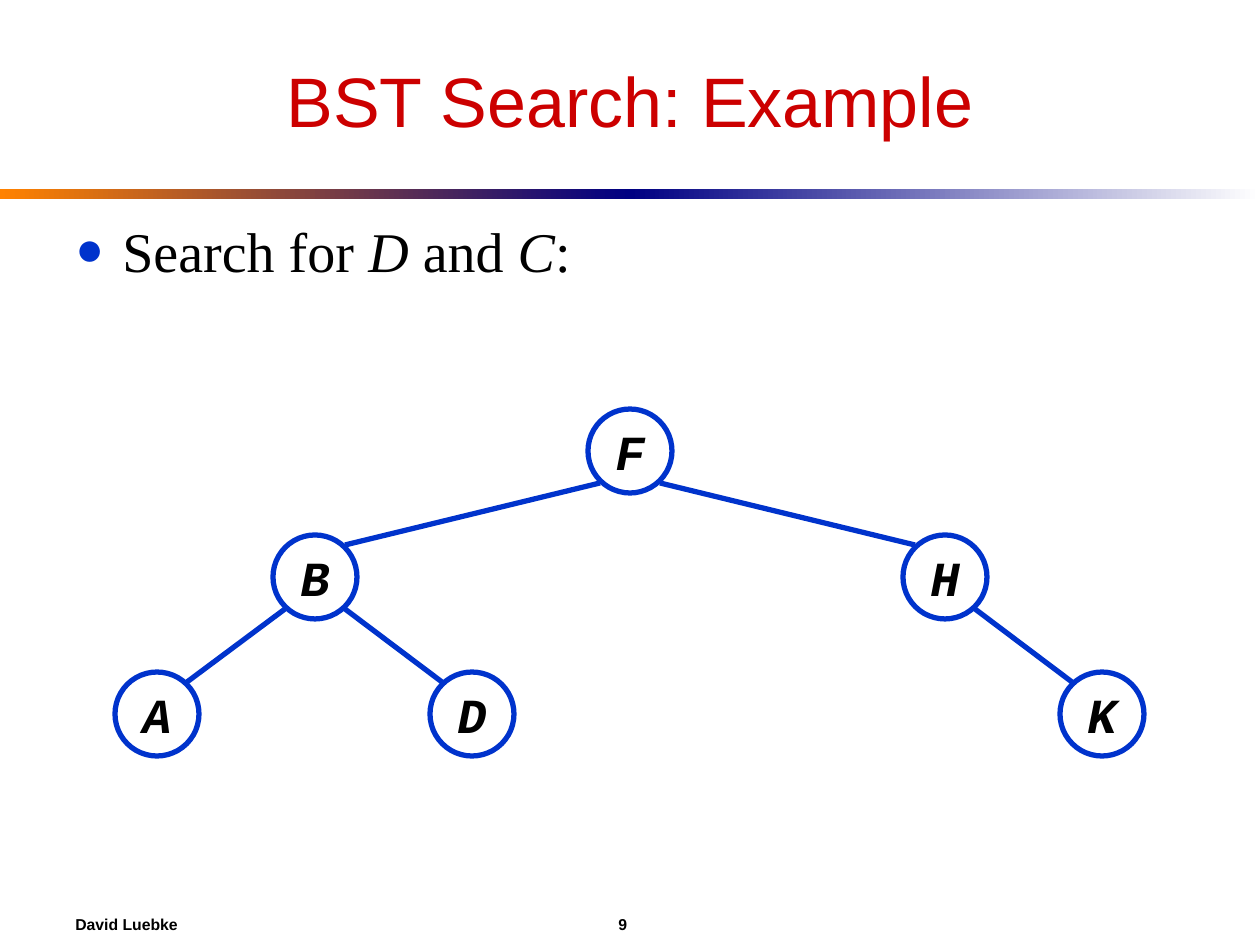
from dataclasses import dataclass

from lxml.etree import SubElement
from pptx import Presentation
from pptx.dml.color import RGBColor
from pptx.enum.shapes import MSO_CONNECTOR, MSO_SHAPE
from pptx.enum.text import MSO_ANCHOR, PP_ALIGN
from pptx.oxml.ns import qn
from pptx.util import Emu, Pt


@dataclass(frozen=True)
class Theme:
    """Colours, fonts and type sizes of the slide."""
    ink: str = "000000"
    paper: str = "FFFFFF"
    heading: str = "CC0000"
    accent: str = "0033CC"
    orange: str = "FF8200"
    navy: str = "000082"
    sans: str = "Arial"
    serif: str = "Times New Roman"
    mono: str = "Courier New"
    title_size: int = 40
    body_size: int = 32
    node_size: int = 28
    footer_size: int = 9
    line_width: int = 3


THEME = Theme()
NODE_SIZE = 84
EDGE_X, EDGE_Y = 30, 32
NODES = {
    "F": (630, 451), "B": (315, 577), "H": (945, 577),
    "K": (1102, 714), "D": (472, 714), "A": (157, 714),
}
EDGES = ["BA", "BD", "FB", "FH", "HK"]


def px(length):
    """Turn pixels into EMU."""
    return Emu(round(length * 914400 / 126))


def rgb(value):
    """Turn a hex string into a colour."""
    return RGBColor.from_string(value)


def place(shape, left, top, width, height):
    """Move and size a shape."""
    shape.left, shape.top = px(left), px(top)
    shape.width, shape.height = px(width), px(height)


def style(span, font, size, color, bold=False, italic=False):
    """Format one run."""
    span.font.name, span.font.size = font, Pt(size)
    span.font.bold, span.font.italic = bold, italic
    span.font.color.rgb = rgb(color)


def add_title(page, text):
    """Fill and format the title placeholder."""
    title = page.shapes.title
    place(title, 63, 32, 1134, 136)
    title.text_frame.text = text
    title.text_frame.vertical_anchor = MSO_ANCHOR.MIDDLE
    para = title.text_frame.paragraphs[0]
    para.alignment = PP_ALIGN.CENTER
    style(para.runs[0], THEME.sans, THEME.title_size, THEME.heading)


def add_gradient_bar(page, left, start, end):
    """Add one half of the rule below the title."""
    bar = page.shapes.add_shape(MSO_SHAPE.RECTANGLE, px(left), px(189), px(630), px(10))
    bar.shadow.inherit = False
    bar.line.fill.background()
    bar.fill.gradient()
    bar.fill.gradient_angle = 0
    for stop, position, color in zip(bar.fill.gradient_stops, (0, 1), (start, end)):
        stop.position = position
        stop.color.rgb = rgb(color)


def add_bullet(page, spans):
    """Add the bulleted line from pairs of text and italic flag."""
    box = page.shapes.add_textbox(px(63), px(210), px(1134), px(598))
    box.text_frame.word_wrap = True
    para = box.text_frame.paragraphs[0]
    para.space_before = Pt(8)
    for text, italic in spans:
        span = para.add_run()
        span.text = text
        style(span, THEME.serif, THEME.body_size, THEME.ink, italic=italic)
    properties = para._p.get_or_add_pPr()
    properties.set("marL", str(px(47)))
    properties.set("indent", str(-px(47)))
    color = SubElement(properties, qn("a:buClr"))
    SubElement(color, qn("a:srgbClr"), val=THEME.accent)
    SubElement(properties, qn("a:buSzPct"), val="85000")
    SubElement(properties, qn("a:buFont"), typeface=THEME.serif)
    SubElement(properties, qn("a:buChar"), char="●")


def add_footer(page, author, number):
    """Add the author and, at a tab stop, the page number."""
    box = page.shapes.add_textbox(px(63), px(903), px(1134), px(42))
    box.text_frame.word_wrap = True
    box.text_frame.vertical_anchor = MSO_ANCHOR.MIDDLE
    box.text_frame.text = f"{author}\t{number}"
    para = box.text_frame.paragraphs[0]
    style(para.runs[0], THEME.sans, THEME.footer_size, THEME.ink, bold=True)
    tabs = SubElement(para._p.get_or_add_pPr(), qn("a:tabLst"))
    SubElement(tabs, qn("a:tab"), pos=str(px(543)), algn="l")


def add_node(page, label, center):
    """Add a tree node around its centre."""
    left, top = (middle - NODE_SIZE // 2 for middle in center)
    node = page.shapes.add_shape(
        MSO_SHAPE.OVAL, px(left), px(top), px(NODE_SIZE), px(NODE_SIZE))
    node.shadow.inherit = False
    node.fill.solid()
    node.fill.fore_color.rgb = rgb(THEME.paper)
    node.line.color.rgb = rgb(THEME.accent)
    node.line.width = Pt(THEME.line_width)
    node.text_frame.word_wrap = False
    node.text_frame.vertical_anchor = MSO_ANCHOR.MIDDLE
    node.text_frame.text = label
    para = node.text_frame.paragraphs[0]
    para.alignment = PP_ALIGN.CENTER
    style(para.runs[0], THEME.mono, THEME.node_size, THEME.ink, bold=True, italic=True)


def add_edge(page, parent, child):
    """Join the lower corner of a parent to the upper corner of its child."""
    side = EDGE_X if child[0] > parent[0] else -EDGE_X
    edge = page.shapes.add_connector(
        MSO_CONNECTOR.STRAIGHT,
        px(parent[0] + side), px(parent[1] + EDGE_Y),
        px(child[0] - side), px(child[1] - EDGE_Y))
    edge.line.color.rgb = rgb(THEME.accent)
    edge.line.width = Pt(THEME.line_width)
    SubElement(edge._element.spPr, qn("a:effectLst"))


def main():
    """Build and save the slide."""
    deck = Presentation()
    deck.slide_width, deck.slide_height = px(1260), px(945)
    page = deck.slides.add_slide(deck.slide_layouts[5])
    add_gradient_bar(page, 0, THEME.orange, THEME.navy)
    add_gradient_bar(page, 630, THEME.navy, THEME.paper)
    add_footer(page, "David Luebke", 9)
    add_title(page, "BST Search: Example")
    add_bullet(page, [("Search for ", False), ("D", True), (" and ", False),
                      ("C", True), (":", False)])
    for label, center in NODES.items():
        add_node(page, label, center)
    for parent, child in EDGES:
        add_edge(page, NODES[parent], NODES[child])
    deck.save("out.pptx")


if __name__ == "__main__":
    main()
